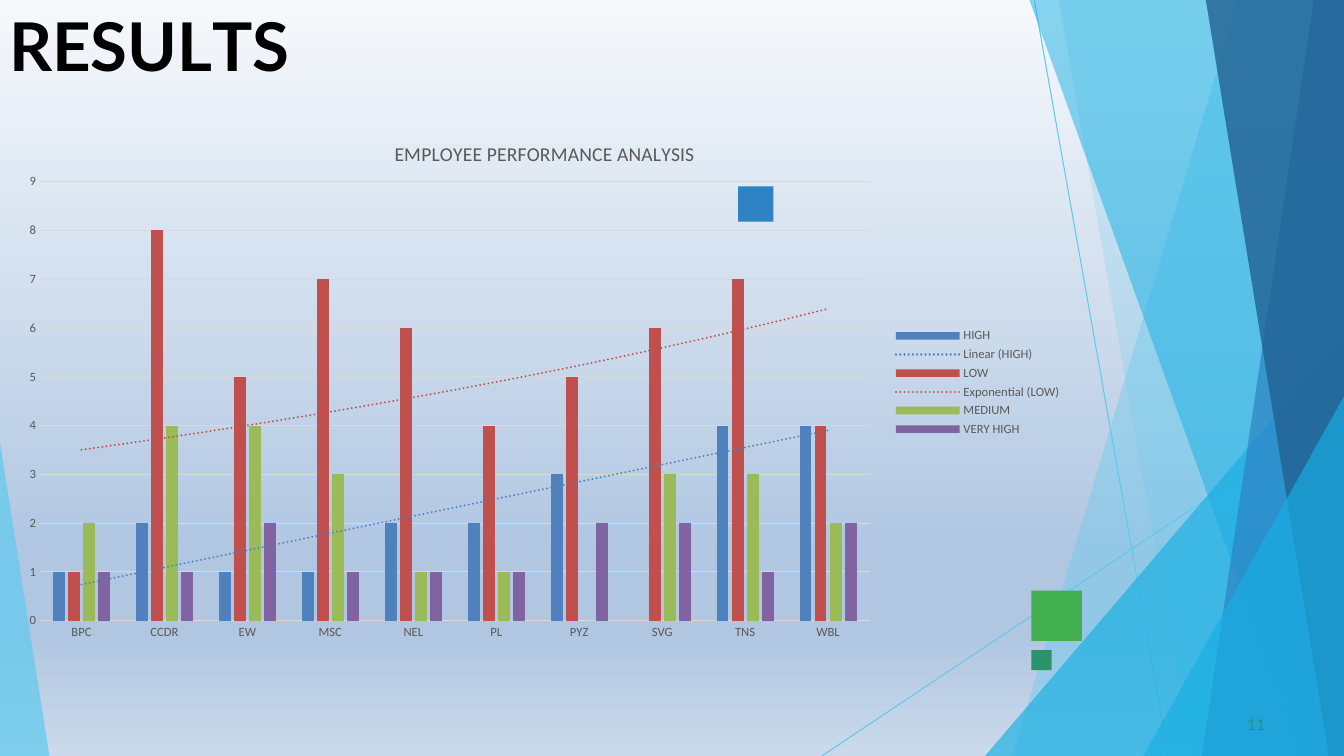
import pptx
import pptx.chart.data
import pptx.dml.color
import pptx.enum.chart
import pptx.enum.shapes
import pptx.enum.text
import pptx.oxml
import pptx.oxml.ns
import pptx.util

Inches = pptx.util.Inches
Pt = pptx.util.Pt
ns = pptx.oxml.ns.nsdecls("a", "c", "p")
qn = pptx.oxml.ns.qn


def paint(fmt, color, alpha=100):
    fmt.solid()
    fmt.fore_color.rgb = pptx.dml.color.RGBColor.from_string(color)
    if alpha < 100:
        node = fmt._xPr.find(".//" + qn("a:srgbClr"))
        node.append(pptx.oxml.parse_xml(f'<a:alpha {ns} val="{alpha * 1000}"/>'))


def style(font, name, size, color):
    font.name = name
    font.size = Pt(size)
    paint(font.fill, color)


deck = pptx.Presentation()
deck.slide_width = Inches(13.33)
deck.slide_height = Inches(7.5)
slide = deck.slides.add_slide(deck.slide_layouts[5])
shapes = slide.shapes

stops = [(0, "F6F9FC"), (74, "B0C6E1"), (83, "B0C6E1"), (100, "CAD9EB")]
marks = "".join(f'<a:gs pos="{pos * 1000}"><a:srgbClr val="{color}"/></a:gs>' for pos, color in stops)
slide._element.cSld.insert(0, pptx.oxml.parse_xml(
    f'<p:bg {ns}><p:bgPr><a:gradFill rotWithShape="1"><a:gsLst>{marks}</a:gsLst>'
    '<a:lin ang="5400000" scaled="0"/></a:gradFill><a:effectLst/></p:bgPr></p:bg>'))

for ends in [(10.26, 0.01, 11.59, 7.5), (13.33, 4.04, 8.15, 7.5)]:
    line = shapes.add_connector(pptx.enum.shapes.MSO_CONNECTOR.STRAIGHT, *map(Inches, ends))
    paint(line.line.fill, "5FCAEE")
    line.line.width = Pt(0.75)
    line._element.spPr.append(pptx.oxml.parse_xml(f"<a:effectLst {ns}/>"))

facets = [
    ("5FCAEE", 36, [(13.33, 0), (12.28, 0), (10.04, 7.5), (13.33, 7.5)]),
    ("5FCAEE", 20, [(13.33, 0), (10.5, 0), (11.82, 7.5), (13.33, 7.5)]),
    ("17AFE3", 66, [(13.33, 3.33), (9.77, 7.5), (13.33, 7.5)]),
    ("17AFE3", 50, [(13.33, 0), (10.21, 0), (12.91, 7.5), (13.33, 7.5)]),
    ("2D83C3", 70, [(13.33, 0), (13.03, 0), (11.92, 7.5), (13.33, 7.5)]),
    ("226192", 80, [(13.33, 0), (11.96, 0), (13.18, 7.5), (13.33, 7.5)]),
    ("17AFE3", 66, [(13.33, 3.93), (11.34, 7.5), (13.33, 7.5)]),
    ("5FCAEE", 70, [(0, 4.39), (0, 7.5), (0.49, 7.5)]),
]
for color, alpha, points in facets:
    points = [(Inches(x), Inches(y)) for x, y in points]
    pen = shapes.build_freeform(*points[0])
    pen.add_line_segments(points[1:], close=True)
    facet = pen.convert_to_shape()
    facet.shadow.inherit = False
    paint(facet.fill, color, alpha)
    facet.line.fill.background()

squares = [(10.23, 5.86, 0.5, "42AF51"), (7.32, 1.85, 0.35, "2D83C3"), (10.23, 6.45, 0.2, "2D936B")]
for x, y, side, color in squares:
    square = shapes.add_shape(pptx.enum.shapes.MSO_SHAPE.RECTANGLE,
                              Inches(x), Inches(y), Inches(side), Inches(side))
    square.shadow.inherit = False
    paint(square.fill, color)
    square.line.fill.background()

title = shapes.title
title.left, title.top, title.width, title.height = map(Inches, (0.08, 0.03, 4.16, 0.82))
number = shapes.add_textbox(Inches(12.33), Inches(7.08), Inches(0.25), Inches(0.21))
texts = [
    (title, [("R", 0), ("E", -0.4), ("S", 0.1), ("U", -0.3), ("L", -4), ("TS", 0)], 48, "000000", 0.01, 1.1),
    (number, [("11", 0.1)], 11, "2D936B", 0.04, 0.6),
]
for box, runs, size, color, indent, before in texts:
    frame = box.text_frame
    frame.word_wrap = True
    frame.auto_size = pptx.enum.text.MSO_AUTO_SIZE.NONE
    frame.vertical_anchor = pptx.enum.text.MSO_ANCHOR.TOP
    frame.margin_left = frame.margin_right = frame.margin_bottom = 0
    frame.margin_top = Inches(0.01)
    para = frame.paragraphs[0]
    para.alignment = pptx.enum.text.PP_ALIGN.LEFT
    para.space_before = Pt(before)
    para._p.get_or_add_pPr().set("marL", str(Inches(indent)))
    style(para.font, "Lato", size, color)
    para.font.bold = box is title
    for text, gap in runs:
        run = para.add_run()
        run.text = text
        run._r.get_or_add_rPr().set("spc", str(round(gap * 100)))

data = pptx.chart.data.CategoryChartData()
data.categories = ["BPC", "CCDR", "EW", "MSC", "NEL", "PL", "PYZ", "SVG", "TNS", "WBL"]
data.add_series("HIGH", [1, 2, 1, 1, 2, 2, 3, None, 4, 4])
data.add_series("LOW", [1, 8, 5, 7, 6, 4, 5, 6, 7, 4])
data.add_series("MEDIUM", [2, 4, 4, 3, 1, 1, None, 3, 3, 2])
data.add_series("VERY HIGH", [1, 1, 2, 1, 1, 1, 2, 2, 1, 2])
chart = shapes.add_chart(pptx.enum.chart.XL_CHART_TYPE.COLUMN_CLUSTERED, Inches(0.08), Inches(1.14),
                         Inches(10.55), Inches(5.31), data).chart
style(chart.font, "Calibri", 10, "000000")

chart.has_title = True
head = chart.chart_title.text_frame.paragraphs[0]
head.text = "EMPLOYEE PERFORMANCE ANALYSIS"
style(head.font, "Calibri", 14, "595959")
head.font.bold = False

plot = chart.plots[0]
plot.gap_width = 219
plot.overlap = -27
plot.vary_by_categories = False
colors = ["4F81BD", "C0504D", "9BBB59", "8064A2"]
trends = ["linear", "exp", None, None]
for series, color, trend in zip(plot.series, colors, trends):
    paint(series.format.fill, color)
    series.invert_if_negative = False
    if trend:
        series._element.find(qn("c:cat")).addprevious(pptx.oxml.parse_xml(
            f'<c:trendline {ns}><c:spPr><a:ln w="{Pt(1.5)}" cap="rnd"><a:solidFill>'
            f'<a:srgbClr val="{color}"/></a:solidFill><a:prstDash val="sysDot"/></a:ln></c:spPr>'
            f'<c:trendlineType val="{trend}"/><c:dispRSqr val="0"/><c:dispEq val="0"/></c:trendline>'))

cats, vals = chart.category_axis, chart.value_axis
for axis in (cats, vals):
    axis.major_tick_mark = axis.minor_tick_mark = pptx.enum.chart.XL_TICK_MARK.NONE
    style(axis.tick_labels.font, "Calibri", 9, "595959")
vals.minimum_scale, vals.maximum_scale, vals.major_unit = 0, 9, 1
vals.format.line.fill.background()
for rule in (cats.format.line, vals.major_gridlines.format.line):
    paint(rule.fill, "D9D9D9")
    rule.width = Pt(0.75)

chart.has_legend = True
chart.legend.position = pptx.enum.chart.XL_LEGEND_POSITION.RIGHT
chart.legend.include_in_layout = False
style(chart.legend.font, "Calibri", 9, "595959")

area = chart._chartSpace.chart.plotArea
for old in area.findall(qn("c:layout")):
    area.remove(old)
area.insert(0, pptx.oxml.parse_xml(
    f'<c:layout {ns}><c:manualLayout><c:layoutTarget val="inner"/><c:xMode val="edge"/>'
    '<c:yMode val="edge"/><c:x val="0.03"/><c:y val="0.125"/><c:w val="0.78"/><c:h val="0.82"/>'
    '</c:manualLayout></c:layout>'))
node = chart.chart_title._element
for old in node.findall(qn("c:layout")):
    node.remove(old)
node.find(qn("c:tx")).addnext(pptx.oxml.parse_xml(
    f'<c:layout {ns}><c:manualLayout><c:xMode val="edge"/><c:yMode val="edge"/>'
    '<c:x val="0.36"/><c:y val="0.04"/></c:manualLayout></c:layout>'))

deck.save("out.pptx")
